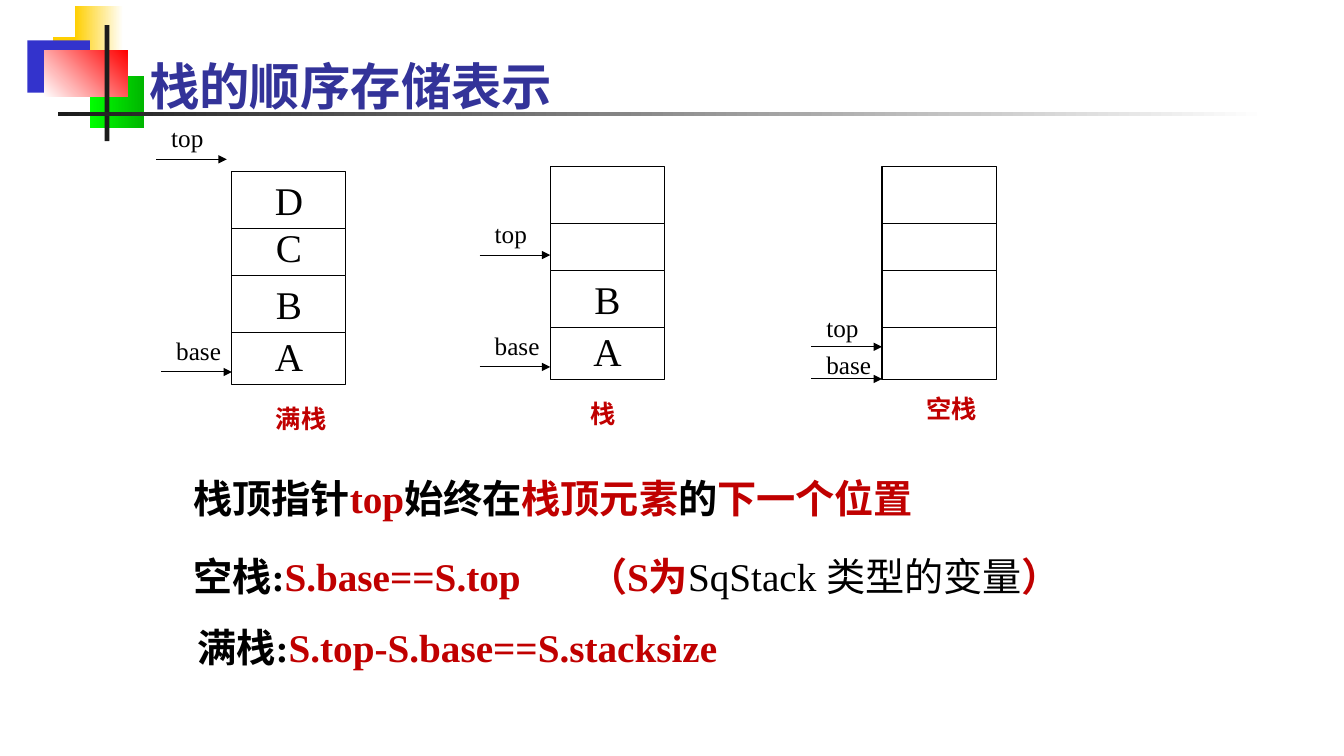
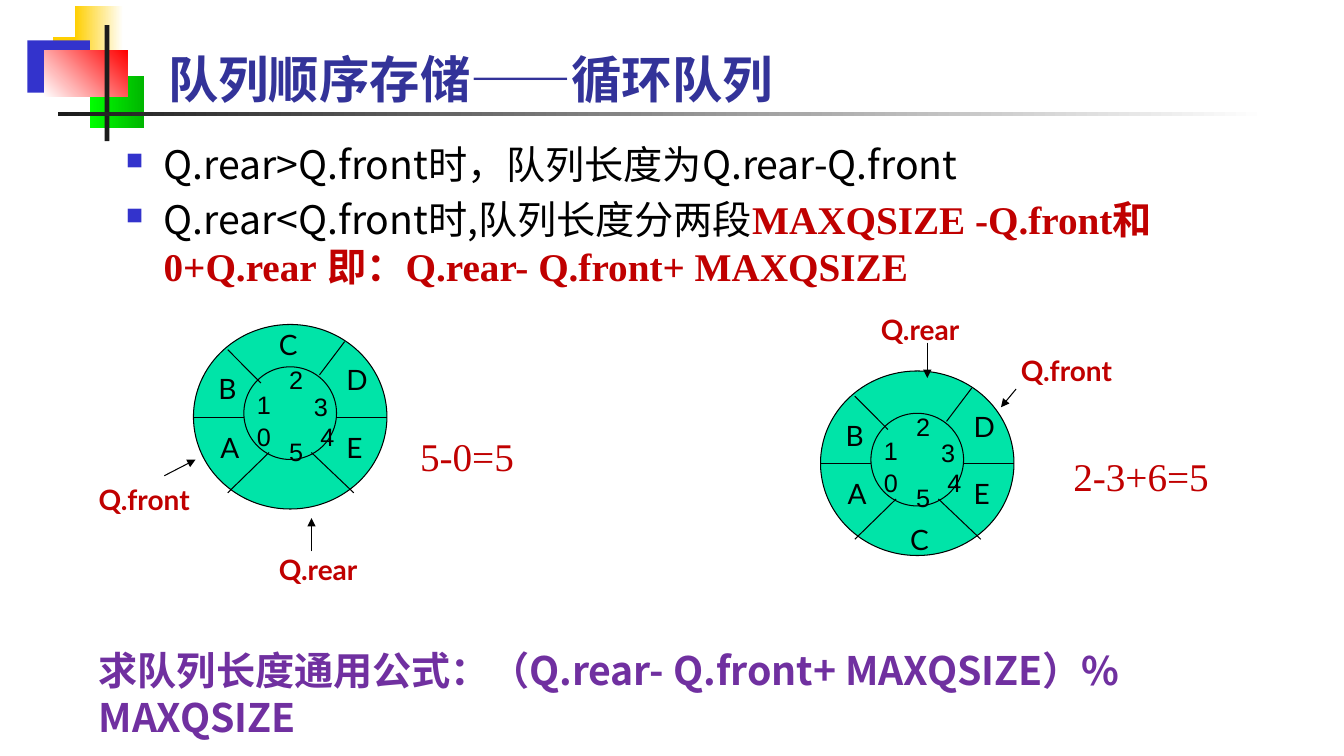
"""Build two slides on sequential stacks and circular queues."""
from lxml import etree
from pptx import Presentation
from pptx.dml.color import RGBColor
from pptx.enum import shapes, text
from pptx.oxml import ns
from pptx.util import Pt

C = {
    "black": "000000", "white": "FFFFFF", "red": "C00000", "title": "333399",
    "purple": "7030A0", "mint": "00E4A8", "ink": "1C1C1C", "yellow": "FFCF01",
    "blue": "3333CC", "lime": "00FF00", "green": "00B600", "scarlet": "FF0000",
}
RECT = shapes.MSO_SHAPE.RECTANGLE
OVAL = shapes.MSO_SHAPE.OVAL
TIMES, SANS, LATO = "Times New Roman", "Noto Sans CJK SC", "Lato"
RED = {"color": "red"}


def put(s, paras, x, y, w, h, shape=None, fill=None, line=None, angle=0,
        align=None, bullet=False, tab=None, gap=0, **font):
    """Add a box; paras is a string or a list of paragraphs of (text, format) runs."""
    box = (Pt(x), Pt(y), Pt(w), Pt(h))
    if shape is None:
        sp = s.shapes.add_textbox(*box)
    else:
        sp = s.shapes.add_shape(shape, *box)
        sp.shadow.inherit = False
        if isinstance(fill, tuple):
            sp.fill.gradient()
            sp.fill.gradient_angle = angle
            for stop, name in zip(sp.fill.gradient_stops, fill):
                stop.color.rgb = RGBColor.from_string(C[name])
        else:
            sp.fill.solid()
            sp.fill.fore_color.rgb = RGBColor.from_string(C[fill])
        if line:
            sp.line.color.rgb = RGBColor.from_string(C[line])
            sp.line.width = Pt(0.75)
        else:
            sp.line.fill.background()
    if not paras:
        return
    tf = sp.text_frame
    tf.word_wrap = True
    tf.vertical_anchor = text.MSO_ANCHOR.TOP
    if isinstance(paras, str):
        paras = [[(paras, {})]]
    for i, runs in enumerate(paras):
        p = tf.paragraphs[0] if i == 0 else tf.add_paragraph()
        p.alignment = align
        if i:
            p.space_before = Pt(gap)
        pPr = p._p.get_or_add_pPr()
        if bullet:
            pPr.set("marL", str(Pt(27)))
            pPr.set("indent", str(Pt(-27)))
            clr = etree.SubElement(pPr, ns.qn("a:buClr"))
            etree.SubElement(clr, ns.qn("a:srgbClr"), val=C["blue"])
            etree.SubElement(pPr, ns.qn("a:buSzPct"), val="60000")
            etree.SubElement(pPr, ns.qn("a:buChar"), char="■")
        if tab:
            tabs = etree.SubElement(pPr, ns.qn("a:tabLst"))
            etree.SubElement(tabs, ns.qn("a:tab"), pos=str(Pt(tab)), algn="l")
        for words, extra in runs:
            fmt = {"name": TIMES, "size": 28, "color": "black", "bold": False, **font, **extra}
            r = p.add_run()
            r.text = words
            r.font.size = Pt(fmt["size"])
            r.font.bold = fmt["bold"]
            r.font.color.rgb = RGBColor.from_string(C[fmt["color"]])
            r.font.name = fmt["name"]
            etree.SubElement(r.font._element, ns.qn("a:ea"), typeface=SANS)


def rule(s, x1, y1, x2, y2, arrow=False):
    """Add a thin black line, with an arrowhead at its end if asked."""
    cn = s.shapes.add_connector(shapes.MSO_CONNECTOR.STRAIGHT, Pt(x1), Pt(y1), Pt(x2), Pt(y2))
    cn.line.color.rgb = RGBColor.from_string(C["black"])
    cn.line.width = Pt(0.75)
    if arrow:
        etree.SubElement(cn.line._get_or_add_ln(), ns.qn("a:tailEnd"), type="triangle")
    etree.SubElement(cn._element.spPr, ns.qn("a:effectLst"))


prs = Presentation()
prs.slide_width, prs.slide_height = Pt(960), Pt(540)

emblem = [
    (38, 26.6, 46, 37.4, "yellow", 0),
    (53.5, 4.3, 34.5, 37.4, ("yellow", "white"), 0),
    (19.6, 28.8, 44.6, 37.4, "blue", 0),
    (64.2, 54, 38.8, 37.4, ("lime", "green"), 0),
    (31.7, 36, 59.5, 33.2, ("white", "scarlet"), 45),
    (74.7, 18, 3.5, 82.8, "ink", 0),
    (41.3, 80, 864, 2.6, ("ink", "white"), 0),
]
slides = []
for title, x, y in [("栈的顺序存储表示", 99.4, 36), ("队列顺序存储——循环队列", 113, 31)]:
    s = prs.slides.add_slide(prs.slide_layouts[6])
    for left, top, w, h, fill, angle in emblem:
        put(s, "", left, top, w, h, shape=RECT, fill=fill, angle=angle)
    put(s, title, x, y, 612, 51, name="Arial Narrow", size=36, color="title", bold=True)
    slides.append(s)
stack_slide, queue_slide = slides

s = stack_slide
CELL_W, CELL_H = 81.5, 41
cell_tops = [111.6, 74.2, 33.8, 0]
stacks = [
    (165.6, 122.4, "ABCD", ("满栈", 190, 284.4),
     [("top", 113.8, 83.5, -3.6), ("base", 265.7, 236.2, 0)]),
    (393.1, 118.8, "AB", ("栈", 414.7, 280.8),
     [("top", 182.2, 152.6, 0), ("base", 262.1, 232.6, 0)]),
    (630, 118.8, "", ("空栈", 654.5, 277.2),
     [("top", 247.7, 219.6, 0), ("base", 270.7, 246.2, 0)]),
]
for left, top, letters, (caption, cx, cy), pointers in stacks:
    for letter, dy in zip(letters.ljust(4), cell_tops):
        put(s, letter.strip(), left, top + dy, CELL_W, CELL_H, shape=RECT,
            fill="white", line="black", align=text.PP_ALIGN.CENTER)
    for name, arrow_y, label_y, shift in pointers:
        put(s, name, left - 46.8 + shift, label_y, 60, 29, size=18)
        rule(s, left - 50.4 + shift, arrow_y, left + shift, arrow_y, arrow=True)
    put(s, caption, cx, cy, 60, 29, name=SANS, size=18, color="red", bold=True)

notes = [
    (131, 335.5, [("栈顶指针", {}), ("top", RED), ("始终在", {}), ("栈顶元素", RED),
                  ("的", {}), ("下一个位置", RED)]),
    (131, 391, [("空栈:", {}), ("S.base==S.top\t（S为", RED),
                ("SqStack 类型的变量", {"bold": False}), ("）", RED)]),
    (133.9, 442, [("满栈:", {}), ("S.top-S.base==S.stacksize", RED)]),
]
for x, y, runs in notes:
    put(s, [runs], x, y, 684, 41, bold=True, tab=282)

s = queue_slide
put(s, [[("Q.rear>Q.front时，队列长度为Q.rear-Q.front", {})],
        [("Q.rear<Q.front时,队列长度分两段", {}),
         ("MAXQSIZE -Q.front和0+Q.rear\t即：Q.rear- Q.front+ MAXQSIZE",
          {"name": TIMES, "color": "red", "bold": True})]],
    82.8, 96.5, 799, 134, name=SANS, bullet=True, tab=144, gap=5.6)

spokes = [
    (0, 66.2, 36, 66.2), (102.2, 66.2, 138.2, 66.2), (24.5, 18, 48.2, 41.8),
    (84.2, 91.4, 114.5, 120.2), (108, 12.2, 90, 36), (54, 91.4, 24.5, 120.2),
]
letters = [("A", 12.2, 72), ("B", 10.8, 30.2), ("D", 102.2, 23.8), ("E", 102.2, 72)]
digits = [("0", 38.2, 65.5), ("1", 38.2, 42.5), ("2", 61.2, 25.2),
          ("3", 79, 43.9), ("4", 83.5, 65.5), ("5", 61.2, 76.3)]
wheels = [
    (138.2, 231.8, ("C", 54, -1.4), ("5-0=5", 293, 305.3),
     [("Q.rear", 192.2, 391, (222.5, 393.8, 222.5, 370.1)),
      ("Q.front", 63.4, 341.3, (117.4, 339.8, 139.7, 328.3))]),
    (586.1, 265, ("C", 56.9, 104.4), ("2-3+6=5", 759.6, 319.7),
     [("Q.rear", 622.1, 219.6, (662.4, 244.8, 662.4, 270)),
      ("Q.front", 722.2, 249.1, (725.8, 277.9, 715, 290.9))]),
]
for ox, oy, c_letter, (length, lx, ly), pointers in wheels:
    for dx, dy, w, h in [(0, 0, 138.2, 131.8), (36, 30.2, 66.2, 66.2)]:
        put(s, "", ox + dx, oy + dy, w, h, shape=OVAL, fill="mint", line="black")
    for x1, y1, x2, y2 in spokes:
        rule(s, ox + x1, oy + y1, ox + x2, oy + y2)
    for letter, dx, dy in letters + [c_letter]:
        put(s, letter, ox + dx, oy + dy, 30, 31, name=LATO, size=20)
    for digit, dx, dy in digits:
        put(s, digit, ox + dx, oy + dy, 26, 29, name="Arial", size=18)
    for name, x, y, ends in pointers:
        rule(s, *ends, arrow=True)
        put(s, name, x, y, 100, 31, name=LATO, size=20, color="red", bold=True)
    put(s, length, lx, ly, 125, 41, color="red")

put(s, "求队列长度通用公式：（Q.rear- Q.front+ MAXQSIZE）% MAXQSIZE",
    63.4, 458, 880.6, 41, name=SANS, color="purple", bold=True)

prs.save("out.pptx")
